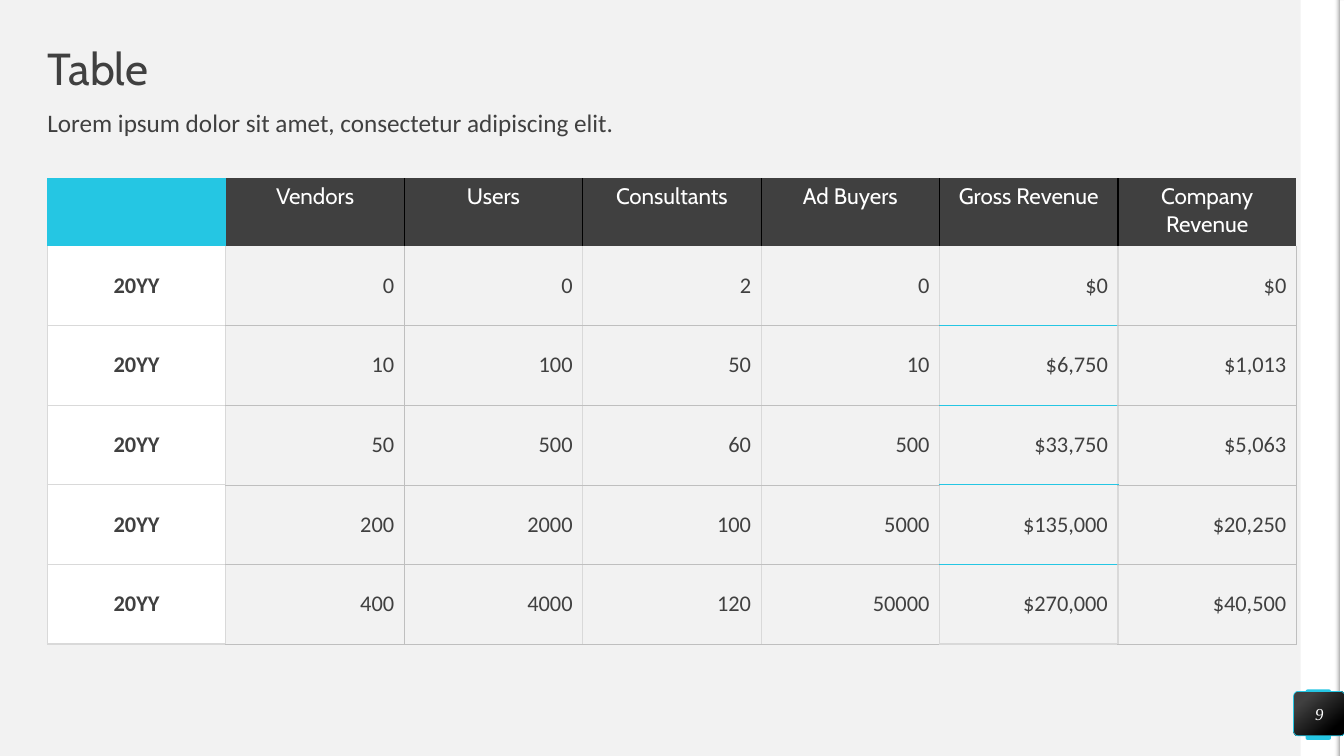
from lxml.etree import SubElement
from pptx import Presentation
from pptx.dml.color import RGBColor
from pptx.enum.shapes import MSO_SHAPE as SHAPE
from pptx.enum.text import MSO_ANCHOR as ANCHOR, PP_ALIGN as ALIGN
from pptx.oxml.ns import qn
from pptx.util import Inches, Pt

# Colours and fonts
WHITE = RGBColor(0xFF, 0xFF, 0xFF)
BLACK = RGBColor(0, 0, 0)
PALE = RGBColor(0xF2, 0xF2, 0xF2)
DARK = RGBColor(0x40, 0x40, 0x40)
CYAN = RGBColor(0x25, 0xC6, 0xE3)
LIGHT_GREY = RGBColor(0xD9, 0xD9, 0xD9)
MID_GREY = RGBColor(0xBF, 0xBF, 0xBF)
SHADOW_GREY = RGBColor(0xA6, 0xA6, 0xA6)
HEADING_FONT, BODY_FONT, NUMBER_FONT = "Cabin", "Calibri", "Times New Roman"

# Content
TITLE = "Table"
SUBTITLE = "Lorem ipsum dolor sit amet, consectetur adipiscing elit."
PAGE_NUMBER = "9"
ROWS = [
    ("", "Vendors", "Users", "Consultants", "Ad Buyers", "Gross Revenue", "Company Revenue"),
    ("20YY", "0", "0", "2", "0", "$0", "$0"),
    ("20YY", "10", "100", "50", "10", "$6,750", "$1,013"),
    ("20YY", "50", "500", "60", "500", "$33,750", "$5,063"),
    ("20YY", "200", "2000", "100", "5000", "$135,000", "$20,250"),
    ("20YY", "400", "4000", "120", "50000", "$270,000", "$40,500"),
]

# Layout
LEFT, TABLE_TOP, COLUMN_WIDTH = 0.47, 1.77, 1.77
HEADER_HEIGHT, ROW_HEIGHT = 0.67, 0.79
ROW_COUNT, COLUMN_COUNT = len(ROWS), len(ROWS[0])
GROSS_COLUMN = 5

# Border styles: colour and width in points
SOLID, HAIRLINE = (LIGHT_GREY, 1), (MID_GREY, 0.25)
ACCENT, HEADER_RULE = (CYAN, 1), (BLACK, 1)


def write(frame, text, size, font, color, align=ALIGN.LEFT, **style):
    paragraph = frame.paragraphs[0]
    paragraph.alignment = align
    run = paragraph.add_run()
    run.text = text
    run.font.color.rgb = color
    for name, value in {"size": Pt(size), "name": font, **style}.items():
        setattr(run.font, name, value)
    return paragraph


def clear_margins(frame, anchor):
    settings = {"margin_left": 0, "margin_right": 0, "margin_top": 0, "margin_bottom": 0,
                "word_wrap": True, "vertical_anchor": anchor}
    for name, value in settings.items():
        setattr(frame, name, value)


def add_block(slide, kind, box, color=None, radius=None, rotation=0):
    shape = slide.shapes.add_shape(kind, *map(Inches, box))
    shape.shadow.inherit = False
    shape.line.fill.background()
    shape.rotation = rotation
    if color is not None:
        shape.fill.solid()
        shape.fill.fore_color.rgb = color
    if radius is not None:
        shape.adjustments[0] = radius
    return shape


def fill_gradient(shape, angle, stops):
    shape.fill.gradient()
    shape.fill.gradient_angle = angle
    for stop, (position, color) in zip(shape.fill.gradient_stops, stops):
        stop.position = position
        stop.color.rgb = color


def add_heading(slide, box, text, size, font, anchor, space_before=0):
    frame = slide.shapes.add_textbox(*map(Inches, box)).text_frame
    clear_margins(frame, anchor)
    paragraph = write(frame, text, size, font, DARK)
    paragraph.line_spacing = 0.9
    paragraph.space_before = Pt(space_before)


def vertical_border(row, edge):
    if row == 0:
        return HEADER_RULE if 2 <= edge < COLUMN_COUNT else None
    return HAIRLINE if edge in (2, COLUMN_COUNT) else SOLID


def horizontal_border(edge, column):
    if edge < 2:
        return None
    if column == GROSS_COLUMN:
        return SOLID if edge == ROW_COUNT else ACCENT
    return SOLID if column == 0 else HAIRLINE


def set_borders(cell, row, column):
    borders = {
        "a:lnL": vertical_border(row, column),
        "a:lnR": vertical_border(row, column + 1),
        "a:lnT": horizontal_border(row, column),
        "a:lnB": horizontal_border(row + 1, column),
    }
    properties = cell._tc.get_or_add_tcPr()
    for tag, border in borders.items():
        line = SubElement(properties, qn(tag))
        if border is None:
            SubElement(line, qn("a:noFill"))
        else:
            color, width = border
            line.set("w", str(Pt(width)))
            fill = SubElement(line, qn("a:solidFill"))
            SubElement(fill, qn("a:srgbClr")).set("val", str(color))


def cell_fill(row, column):
    if row == 0:
        return CYAN if column == 0 else DARK
    return {0: WHITE, GROSS_COLUMN: PALE}.get(column)


def add_data_table(slide):
    height = HEADER_HEIGHT + ROW_HEIGHT * (ROW_COUNT - 1)
    box = (LEFT, TABLE_TOP, COLUMN_WIDTH * COLUMN_COUNT, height)
    table = slide.shapes.add_table(ROW_COUNT, COLUMN_COUNT, *map(Inches, box)).table
    table.first_row = table.horz_banding = False
    for column in table.columns:
        column.width = Inches(COLUMN_WIDTH)
    for row, values in enumerate(ROWS):
        table.rows[row].height = Inches(ROW_HEIGHT if row else HEADER_HEIGHT)
        for column, text in enumerate(values):
            cell = table.cell(row, column)
            set_borders(cell, row, column)
            color = cell_fill(row, column)
            if color is None:
                cell.fill.background()
            else:
                cell.fill.solid()
                cell.fill.fore_color.rgb = color
            cell.vertical_anchor = ANCHOR.MIDDLE if row else ANCHOR.TOP
            if text:
                centred = row == 0 or column == 0
                write(cell.text_frame, text, 16, BODY_FONT if row else HEADING_FONT,
                      DARK if row else WHITE, ALIGN.CENTER if centred else ALIGN.RIGHT,
                      bold=row > 0 and column == 0)


def main():
    presentation = Presentation()
    presentation.slide_width, presentation.slide_height = Inches(13.33), Inches(7.5)
    slide = presentation.slides.add_slide(presentation.slide_layouts[6])
    slide.background.fill.solid()
    slide.background.fill.fore_color.rgb = PALE

    # Right-hand page edge with a soft shadow
    add_block(slide, SHAPE.RECTANGLE, (12.9, 0, 0.39, 7.5), WHITE)
    add_block(slide, SHAPE.ROUNDED_RECTANGLE, (12.95, 6.84, 0.25, 0.5), CYAN, radius=0.07)
    add_block(slide, SHAPE.RECTANGLE, (9.56, 3.73, 7.5, 0.05), WHITE, rotation=90)
    edge_shadow = add_block(slide, SHAPE.RECTANGLE, (9.51, 3.73, 7.5, 0.05), rotation=90)
    fill_gradient(edge_shadow, 90, [(0, PALE), (1, SHADOW_GREY)])
    first_color = edge_shadow.fill._xPr.find(".//" + qn("a:srgbClr"))
    SubElement(first_color, qn("a:alpha")).set("val", "0")

    # Headings and table
    add_heading(slide, (LEFT, 0.47, 12.39, 0.47), TITLE, 32, HEADING_FONT, ANCHOR.MIDDLE)
    add_heading(slide, (LEFT, 1.1, 12.4, 0.39), SUBTITLE, 18, BODY_FONT, ANCHOR.TOP, 10)
    add_data_table(slide)

    # Page number badge
    badge = add_block(slide, SHAPE.ROUNDED_RECTANGLE, (12.83, 6.86, 0.51, 0.44), radius=0.1)
    fill_gradient(badge, 310, [(0.2, DARK), (0.82, BLACK)])
    badge.line.color.rgb = CYAN
    badge.line.width = Pt(0.5)
    clear_margins(badge.text_frame, ANCHOR.MIDDLE)
    write(badge.text_frame, PAGE_NUMBER, 12, NUMBER_FONT, WHITE, ALIGN.CENTER, italic=True)

    presentation.save("out.pptx")


if __name__ == "__main__":
    main()
